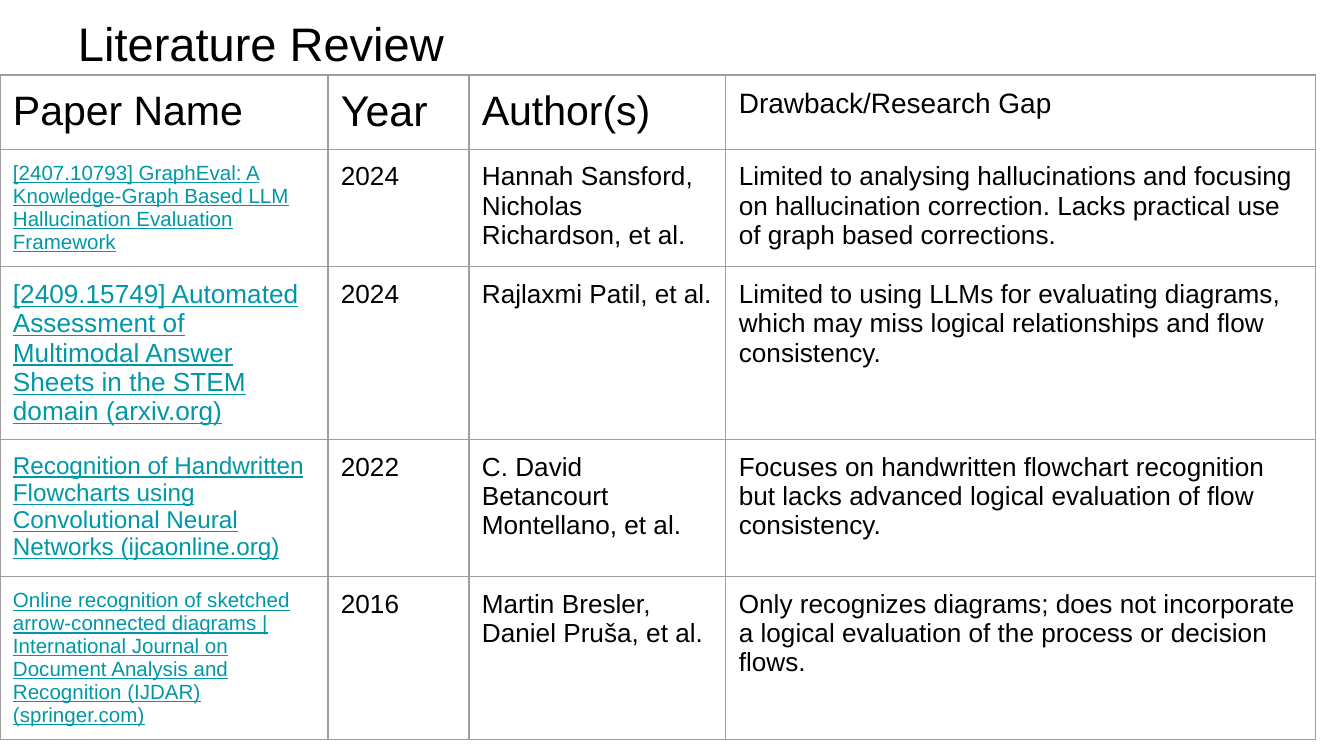
"""Build the literature review slide: a title above a table of papers."""
from typing import NamedTuple

from lxml.etree import SubElement
from pptx import Presentation
from pptx.dml.color import RGBColor
from pptx.enum.text import MSO_ANCHOR, MSO_AUTO_SIZE, PP_ALIGN
from pptx.oxml.ns import qn
from pptx.table import Table, _Cell
from pptx.text.text import TextFrame
from pptx.util import Emu, Pt

SCALE = 914400 / 134.4
INK = RGBColor(0x00, 0x00, 0x00)
LINK = RGBColor(0x00, 0x97, 0xA7)
RULE = RGBColor(0x9E, 0x9E, 0x9E)
FONT = "Arial"
PAD = 13
COLS = (328, 141, 257, 590)
HEADS = (("Paper Name", 22), ("Year", 23), ("Author(s)", 22), ("Drawback/Research Gap", 15))
HEAD_ROW = 71


class Paper(NamedTuple):
    """One reviewed paper, with its row height and name size."""
    name: str
    year: str
    team: str
    gap: str
    high: int
    size: int


PAPERS = (
    Paper("[2407.10793] GraphEval: A Knowledge-Graph Based LLM Hallucination Evaluation Framework",
          "2024", "Hannah Sansford, Nicholas Richardson, et al.",
          "Limited to analysing hallucinations and focusing on hallucination correction. "
          "Lacks practical use of graph based corrections.", 52, 11),
    Paper("[2409.15749] Automated Assessment of Multimodal Answer Sheets in the STEM domain (arxiv.org)",
          "2024", "Rajlaxmi Patil, et al.",
          "Limited to using LLMs for evaluating diagrams, which may miss logical relationships "
          "and flow consistency.", 167, 14),
    Paper("Recognition of Handwritten Flowcharts using Convolutional Neural Networks (ijcaonline.org)",
          "2022", "C. David Betancourt Montellano, et al.",
          "Focuses on handwritten flowchart recognition but lacks advanced logical evaluation "
          "of flow consistency.", 137, 13),
    Paper("Online recognition of sketched arrow-connected diagrams | International Journal on "
          "Document Analysis and Recognition (IJDAR) (springer.com)",
          "2016", "Martin Bresler, Daniel Pruša, et al.",
          "Only recognizes diagrams; does not incorporate a logical evaluation of the process "
          "or decision flows.", 159, 11),
)


def px(count: int) -> Emu:
    """Turn pixels into EMU."""
    return Emu(round(count * SCALE))


def write(frame: TextFrame, text: str, *, size: float = 14, color: RGBColor = INK,
          under: bool = False) -> None:
    """Put one left-aligned run of text in a frame."""
    para = frame.paragraphs[0]
    para.alignment = PP_ALIGN.LEFT
    run = para.add_run()
    run.text = text
    font = run.font
    font.name, font.size, font.underline = FONT, Pt(size), under
    font.color.rgb = color


def pad(box: _Cell | TextFrame) -> None:
    """Set equal margins on all four sides."""
    box.margin_left = box.margin_right = box.margin_top = box.margin_bottom = px(PAD)


def edge(cell: _Cell) -> None:
    """Draw a thin rule on each side of a cell and clear its fill."""
    props = cell._tc.get_or_add_tcPr()
    for side in ("a:lnL", "a:lnR", "a:lnT", "a:lnB"):
        line = SubElement(props, qn(side), w=str(Pt(0.75)))
        fill = SubElement(line, qn("a:solidFill"))
        SubElement(fill, qn("a:srgbClr"), val=str(RULE))
    cell.fill.background()


def fill_row(table: Table, row: int, high: int, items: tuple[tuple, ...]) -> None:
    """Fill one table row from text, size and optional link flag."""
    table.rows[row].height = px(high)
    for cell, (text, size, *link) in zip(table.rows[row].cells, items):
        pad(cell)
        edge(cell)
        write(cell.text_frame, text, size=size, color=LINK if link else INK, under=bool(link))


def main() -> None:
    """Build and save the deck."""
    deck = Presentation()
    deck.slide_width, deck.slide_height = px(1344), px(756)
    slide = deck.slides.add_slide(deck.slide_layouts[5])

    title = slide.shapes.title
    title.left, title.top, title.width, title.height = px(65), px(0), px(1253), px(84)
    frame = title.text_frame
    frame.auto_size, frame.word_wrap = MSO_AUTO_SIZE.NONE, True
    frame.vertical_anchor = MSO_ANCHOR.BOTTOM
    pad(frame)
    write(frame, "Literature Review", size=25.2)

    total = HEAD_ROW + sum(paper.high for paper in PAPERS)
    table = slide.shapes.add_table(len(PAPERS) + 1, len(COLS), px(0), px(75),
                                   px(sum(COLS)), px(total)).table
    table.first_row = table.horz_banding = False
    for col, wide in zip(table.columns, COLS):
        col.width = px(wide)
    fill_row(table, 0, HEAD_ROW, HEADS)
    for row, paper in enumerate(PAPERS, 1):
        fill_row(table, row, paper.high, (
            (paper.name, paper.size, True), (paper.year, 14), (paper.team, 14), (paper.gap, 14)))
    deck.save("out.pptx")


if __name__ == "__main__":
    main()
